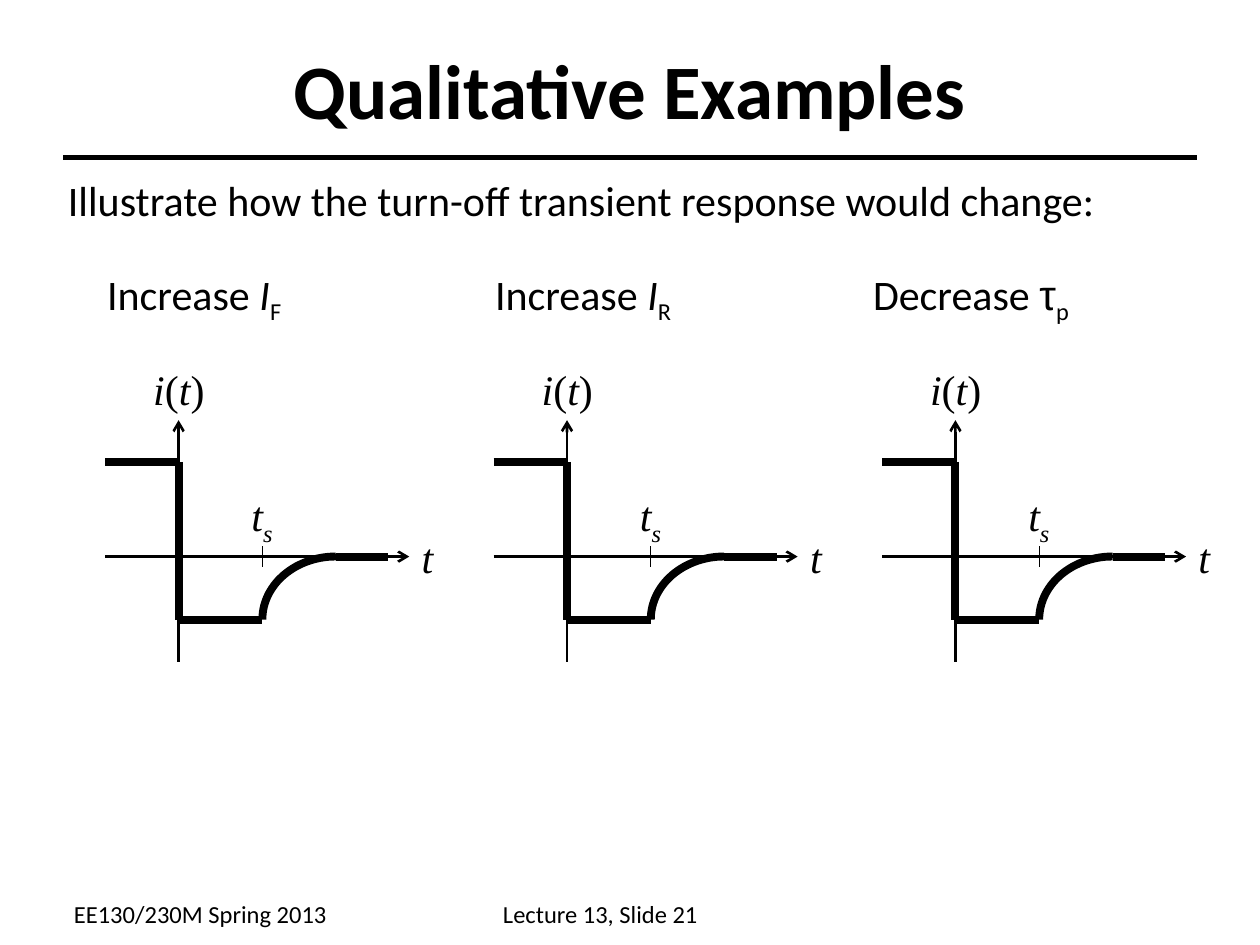
import math

from lxml import etree
from pptx import Presentation
from pptx.dml.color import RGBColor
from pptx.enum.shapes import MSO_CONNECTOR
from pptx.enum.text import MSO_ANCHOR, MSO_AUTO_SIZE, PP_ALIGN
from pptx.oxml.ns import qn
from pptx.util import Cm, Pt

STRAIGHT = MSO_CONNECTOR.STRAIGHT
MIDDLE = MSO_ANCHOR.MIDDLE
NO_FIT = MSO_AUTO_SIZE.NONE
GROW = MSO_AUTO_SIZE.SHAPE_TO_FIT_TEXT
CENTER = PP_ALIGN.CENTER

BLACK = RGBColor(0, 0, 0)
WHITE = RGBColor(255, 255, 255)
SANS = "Calibri"
SERIF = "Times New Roman"

# Line weights in points
AXIS = 1.5
CURVE = 4.5
TICK = 0.75

# Graph geometry in cm; levels and times are measured from the graph's origin
TITLE_LAYOUT = 5
FIRST_ORIGIN = 3.6
GRAPH_PITCH = 7.83
TIME_AXIS_Y = 11.22
START = -1.48
FORWARD = -1.91
REVERSE = 1.27
STORAGE = 1.69
RECOVERED = 3.17
SETTLED = 4.23
ARC_STEPS = 30

# Each run is (text, font, italic, subscript)
HEADINGS = [
    (1.91, 4.1, [("Increase ", SANS, False, False), ("I", SANS, True, False),
                 ("F", SANS, False, True)]),
    (9.73, 4.1, [("Increase ", SANS, False, False), ("I", SANS, True, False),
                 ("R", SANS, False, True)]),
    (17.35, 4.55, [("Decrease ", SANS, False, False), ("τ", "Arial", False, False),
                   ("p", SANS, False, True)]),
]
CURRENT = [("i", SERIF, True, False), ("(", SERIF, False, False),
           ("t", SERIF, True, False), (")", SERIF, False, False)]
TIME = [("t", SERIF, True, False)]
STORAGE_TIME = TIME + [("s", SERIF, True, True)]


def add_runs(paragraph, runs, size, bold=False):
    for text, font_name, italic, subscript in runs:
        run = paragraph.add_run()
        run.text = text
        run.font.name = font_name
        run.font.size = Pt(size)
        run.font.bold = bold
        run.font.italic = italic
        run.font.color.rgb = BLACK
        if subscript:
            run.font._element.set("baseline", "-25000")


def add_label(slide, left, top, width, height, runs, size=24):
    box = slide.shapes.add_textbox(Cm(left), Cm(top), Cm(width), Cm(height))
    box.text_frame.word_wrap = False
    box.text_frame.auto_size = GROW
    add_runs(box.text_frame.paragraphs[0], runs, size)


def add_line(slide, start, end, weight, arrow=False):
    line = slide.shapes.add_connector(
        STRAIGHT, Cm(start[0]), Cm(start[1]), Cm(end[0]), Cm(end[1]))
    line.line.color.rgb = BLACK
    line.line.width = Pt(weight)
    if arrow:
        etree.SubElement(line.line._get_or_add_ln(), qn("a:tailEnd"), type="arrow")
    etree.SubElement(line._element.spPr, qn("a:effectLst"))


def add_recovery_curve(slide, origin_x):
    """Quarter ellipse from the reverse level up to the time axis."""
    points = []
    for step in range(ARC_STEPS + 1):
        angle = math.pi / 2 * step / ARC_STEPS
        x = origin_x + RECOVERED - (RECOVERED - STORAGE) * math.cos(angle)
        y = TIME_AXIS_Y + REVERSE * (1 - math.sin(angle))
        points.append((Cm(x), Cm(y)))
    builder = slide.shapes.build_freeform(*points[0])
    builder.add_line_segments(points[1:], close=False)
    curve = builder.convert_to_shape()
    curve.shadow.inherit = False
    curve.fill.background()
    curve.line.color.rgb = BLACK
    curve.line.width = Pt(CURVE)


def add_graph(slide, origin_x):
    def at(time, level):
        return origin_x + time, TIME_AXIS_Y + level

    # Axes and their labels
    add_line(slide, at(START, 0), at(4.65, 0), AXIS, arrow=True)
    add_line(slide, at(0, 2.12), at(0, -2.75), AXIS, arrow=True)
    add_label(slide, *at(4.65, -0.63), 0.78, 1.27, TIME)
    add_label(slide, *at(-0.76, -4.01), 1.7, 1.27, CURRENT)

    # Transient response
    add_line(slide, at(START, FORWARD), at(0, FORWARD), CURVE)
    add_line(slide, at(0, REVERSE), at(STORAGE, REVERSE), CURVE)
    add_recovery_curve(slide, origin_x)
    add_line(slide, at(0, FORWARD), at(0, REVERSE), CURVE)
    add_line(slide, at(RECOVERED, 0), at(SETTLED, 0), CURVE)

    # Storage time mark
    add_line(slide, at(STORAGE, -0.21), at(STORAGE, 0.21), TICK)
    add_label(slide, *at(1.22, -1.47), 1, 1.42, STORAGE_TIME)


def add_title(slide, text):
    title = slide.shapes.title
    title.left, title.top, title.width, title.height = Cm(1.27), Cm(0.2), Cm(22.86), Cm(3.18)
    title.text_frame.vertical_anchor = MIDDLE
    title.text_frame.auto_size = NO_FIT
    paragraph = title.text_frame.paragraphs[0]
    paragraph.alignment = CENTER
    add_runs(paragraph, [(text, SANS, False, False)], 44, bold=True)


def add_plain_label(slide, left, top, width, height, text, size):
    add_label(slide, left, top, width, height, [(text, SANS, False, False)], size)


def main():
    presentation = Presentation()
    presentation.slide_width = Cm(25.4)
    presentation.slide_height = Cm(19.05)
    slide = presentation.slides.add_slide(presentation.slide_layouts[TITLE_LAYOUT])
    slide.background.fill.solid()
    slide.background.fill.fore_color.rgb = WHITE

    # Title, rule and introduction
    add_line(slide, (1.27, 3.18), (24.13, 3.18), 3)
    add_title(slide, "Qualitative Examples")
    add_plain_label(slide, 1.12, 3.39, 21.35, 1.27,
                    "Illustrate how the turn-off transient response would change:", 24)

    # One heading and graph per example
    for index, (left, width, heading) in enumerate(HEADINGS):
        add_label(slide, left, 5.28, width, 1.42, heading)
        add_graph(slide, FIRST_ORIGIN + index * GRAPH_PITCH)

    # Footer
    add_plain_label(slide, 1.24, 17.99, 5.65, 0.86, "EE130/230M Spring 2013", 14)
    add_plain_label(slide, 9.89, 17.99, 6.02, 0.86, "Lecture 13, Slide 21", 14)

    presentation.save("out.pptx")


if __name__ == "__main__":
    main()
